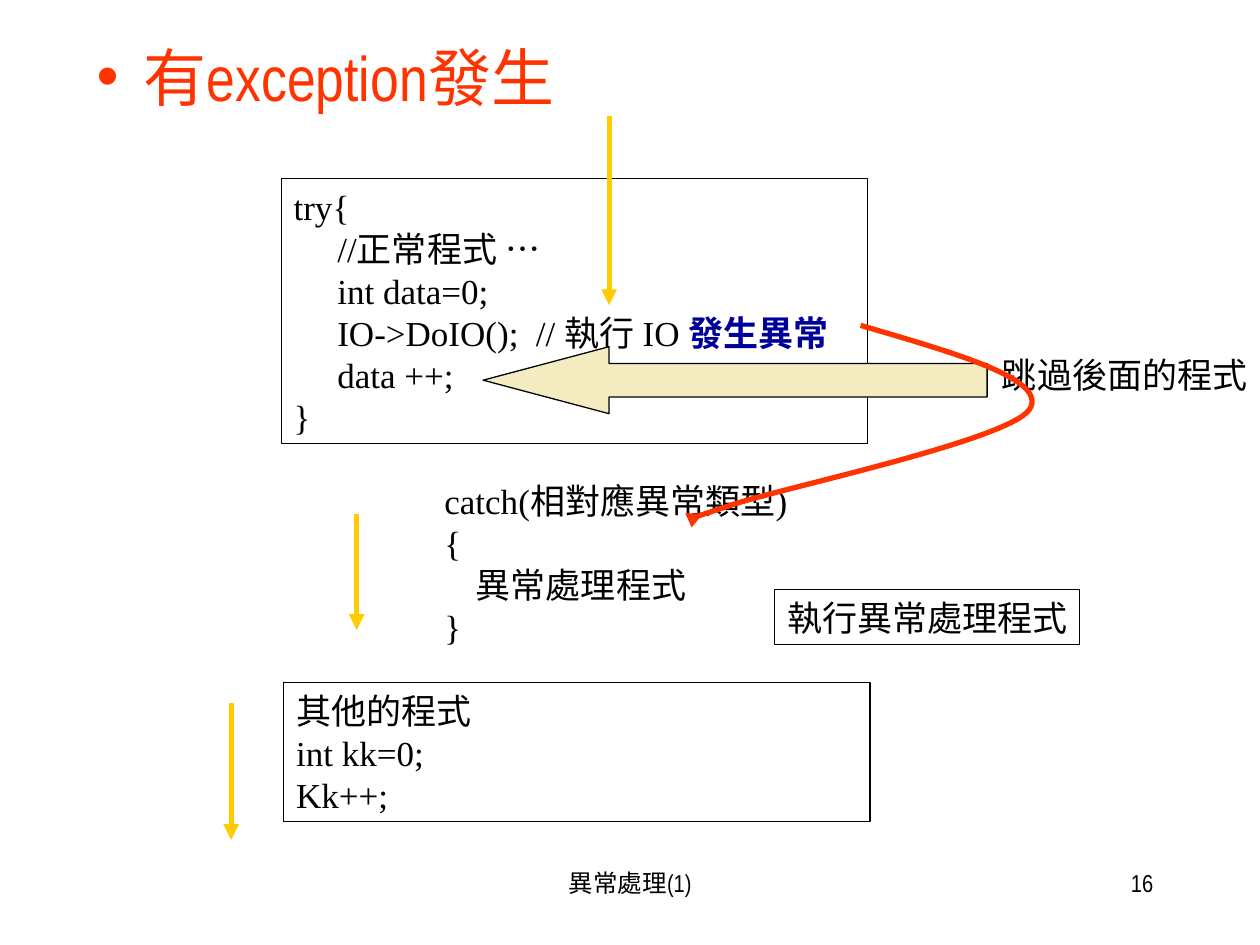
from dataclasses import dataclass

from lxml import etree
from pptx import Presentation
from pptx import util as u
from pptx.dml.color import RGBColor
from pptx.enum import shapes, text
from pptx.oxml import ns


@dataclass(frozen=True)
class Theme:
    ink: str = "000000"
    hot: str = "FF3300"
    flow: str = "FFCC00"
    skip: str = "F5EBC1"
    note: str = "000099"
    head: str = "Arial Narrow"
    body: str = "Times New Roman"
    big: int = 36
    mid: int = 20
    small: int = 14
    thin: float = 0.75
    thick: int = 3


T = Theme()
TRY = [
    "try{",
    "     //正常程式 …",
    "     int data=0;",
    ("     IO->DoIO();  // 執行 IO ", "發生異常"),
    "     data ++;",
    "}",
]
CATCH = ["catch(相對應異常類型)", "{", "    異常處理程式", "}"]
REST = ["其他的程式", "int kk=0;", "Kk++;"]


def rgb(code):
    return RGBColor.from_string(code)


def sub(node, tag, **attrs):
    return etree.SubElement(node, ns.qn(tag), attrs)


def apply(item, form):
    for key, val in form.items():
        setattr(item, key, val)


def stroke(line, color, width, tip=False):
    line.color.rgb = rgb(color)
    line.width = u.Pt(width)
    if tip:
        sub(line._get_or_add_ln(), "a:tailEnd", type="triangle")


def write(slide, box, lines, size=T.mid, face=T.body, color=T.ink,
          align=text.PP_ALIGN.LEFT, frame=False):
    """Place lines in a text box; a tuple's second part is a bold note."""
    shape = slide.shapes.add_textbox(*map(u.Cm, box))
    if frame:
        stroke(shape.line, T.ink, T.thin)
    body = shape.text_frame
    # Text fills its box exactly, so only centred or right text needs a right inset.
    gap = 0 if align == text.PP_ALIGN.LEFT else 0.25
    apply(body, {
        "word_wrap": True,
        "margin_left": u.Cm(0.25), "margin_right": u.Cm(gap),
        "margin_top": u.Cm(0.13), "margin_bottom": u.Cm(0.13),
    })
    for i, line in enumerate(lines):
        para = body.paragraphs[0] if i == 0 else body.add_paragraph()
        para.alignment = align
        parts = (line,) if isinstance(line, str) else line
        for n, part in enumerate(parts):
            run = para.add_run()
            run.text = part
            apply(run.font, {"size": u.Pt(size), "name": face, "bold": n > 0})
            run.font.color.rgb = rgb(T.note if n else color)
    return shape


def drop(slide, x, y, size):
    """Draw a downward flow arrow."""
    arrow = slide.shapes.add_connector(
        shapes.MSO_CONNECTOR.STRAIGHT, *map(u.Cm, (x, y, x, y + size)))
    stroke(arrow.line, T.flow, T.thick, tip=True)
    sub(arrow._element.spPr, "a:effectLst")


def curve(slide, pts):
    """Draw an arrow through Bezier points: a start, then threes."""
    spots = [(u.Cm(x), u.Cm(y)) for x, y in pts]
    pen = slide.shapes.build_freeform(*spots[0])
    pen.add_line_segments(spots[1:], close=False)
    shape = pen.convert_to_shape()
    shape.shadow.inherit = False
    shape.fill.background()
    stroke(shape.line, T.hot, T.thick, tip=True)
    track = next(shape._element.iter(ns.qn("a:path")))
    steps = track.findall(ns.qn("a:lnTo"))
    for i in range(0, len(steps), 3):
        bend = sub(track, "a:cubicBezTo")
        for step in steps[i:i + 3]:
            bend.append(step[0])
            track.remove(step)


def title(slide, box):
    shape = write(slide, box, ["有exception發生"], T.big, T.head, T.hot)
    props = shape.text_frame.paragraphs[0]._p.get_or_add_pPr()
    props.set("marL", str(u.Cm(0.95)))
    props.set("indent", str(u.Cm(-0.95)))
    sub(sub(props, "a:buClr"), "a:srgbClr", val=T.hot)
    sub(props, "a:buFont", typeface="Arial")
    sub(props, "a:buChar", char="•")


def attempt(slide, box):
    x, y, w, h = box
    write(slide, box, TRY, frame=True)
    drop(slide, x + 6.61, y - 1.26, 3.81)
    arrow = slide.shapes.add_shape(
        shapes.MSO_SHAPE.LEFT_ARROW,
        *map(u.Cm, (x + 4.07, y + 3.39, 10.16, 1.35)))
    arrow.shadow.inherit = False
    arrow.fill.solid()
    arrow.fill.fore_color.rgb = rgb(T.skip)
    stroke(arrow.line, T.ink, T.thin)
    arrow.adjustments[1] = 1.88
    write(slide, (x + 14.28, y + 3.39, 5.46, 1.11), ["跳過後面的程式"])


def handle(slide, box):
    x, y, w, h = box
    write(slide, box, CATCH)
    bends = [(8.64, -2.97), (10.54, -2.41), (12.45, -1.88), (12.04, -1.27),
             (11.61, -0.66), (7.19, 0.28), (6.1, 0.63),
             (5.01, 0.99), (5.23, 0.91), (5.46, 0.83)]
    curve(slide, [(x + dx, y + dy) for dx, dy in bends])
    drop(slide, x - 1.52, y + 0.84, 2.33)
    write(slide, (x + 6.91, y + 2.36, 6.15, 1.11), ["執行異常處理程式"], frame=True)


def resume(slide, box):
    x, y, w, h = box
    write(slide, box, REST, frame=True)
    drop(slide, x - 1.06, y + 0.42, 2.75)


def footer(slide, box):
    x, y, w, h = box
    write(slide, (x, y, 8.05, h), ["異常處理(1)"], T.small, T.head,
          align=text.PP_ALIGN.CENTER)
    write(slide, (x + w - 5.29, y, 5.29, h), ["16"], T.small, T.head,
          align=text.PP_ALIGN.RIGHT)


def main():
    deck = Presentation()
    apply(deck, {"slide_width": u.Cm(25.4), "slide_height": u.Cm(19.05)})
    slide = deck.slides.add_slide(deck.slide_layouts[6])
    title(slide, (1.7, 0.64, 21.59, 11.43))
    attempt(slide, (5.67, 3.6, 11.82, 5.34))
    handle(slide, (8.71, 9.53, 7.75, 3.66))
    resume(slide, (5.72, 13.76, 11.82, 2.8))
    footer(slide, (8.68, 17.36, 14.82, 1.27))
    deck.save("out.pptx")


if __name__ == "__main__":
    main()
